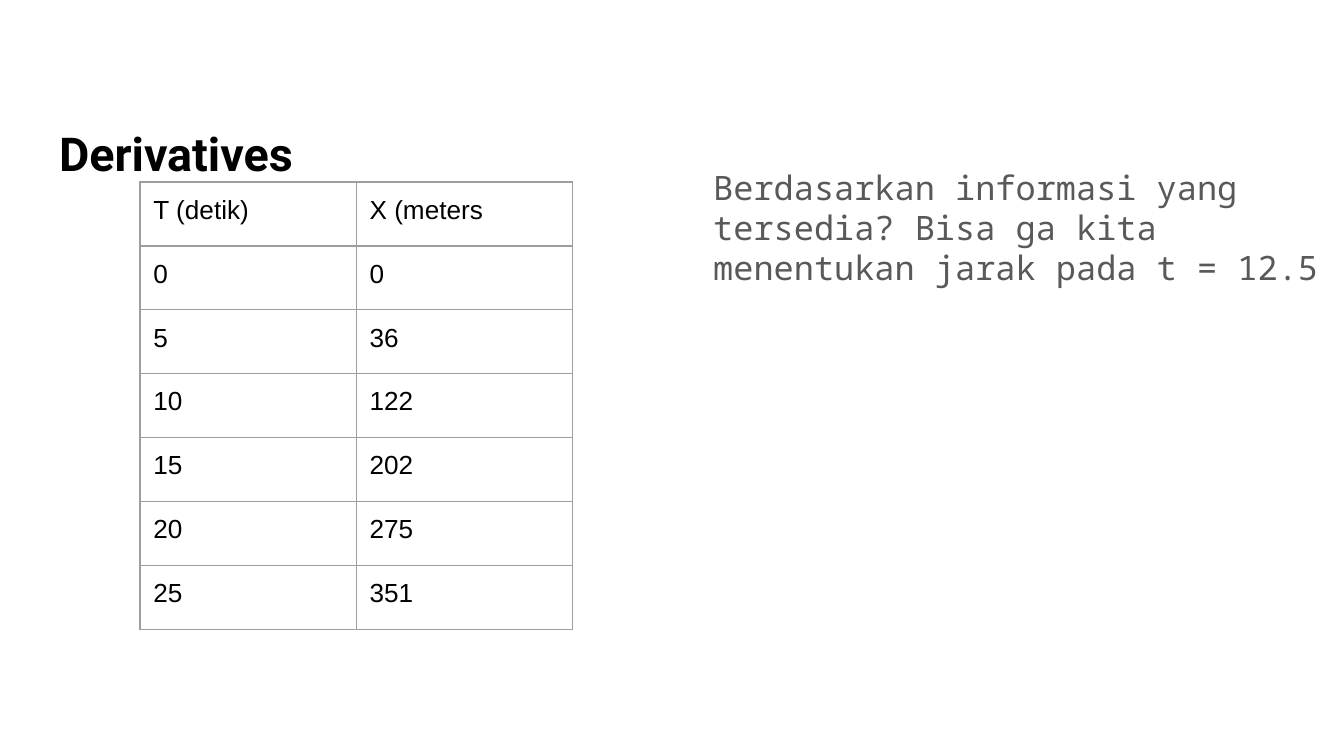
import pptx
import pptx.util
import pptx.dml.color
import pptx.enum.text
import pptx.oxml
import pptx.oxml.ns

Pt = pptx.util.Pt
RGB = pptx.dml.color.RGBColor
BLACK = RGB(0x00, 0x00, 0x00)
GREY = RGB(0x59, 0x59, 0x59)
RULE = RGB(0x9E, 0x9E, 0x9E)
INSET = 7.2

ROWS = [
    ("T (detik)", "X (meters"),
    ("0", "0"),
    ("5", "36"),
    ("10", "122"),
    ("15", "202"),
    ("20", "275"),
    ("25", "351"),
]


def write(frame, text, size, face, color, bold=False):
    frame.text = text
    para = frame.paragraphs[0]
    para.alignment = pptx.enum.text.PP_ALIGN.LEFT
    para.space_before = Pt(0)
    para.line_spacing = 1.0
    font = para.runs[0].font
    font.size, font.name, font.bold = Pt(size), face, bold
    font.color.rgb = color


def pad(part):
    part.margin_left = part.margin_right = Pt(INSET)
    part.margin_top = part.margin_bottom = Pt(INSET)


def border(cell):
    props = cell._tc.get_or_add_tcPr()
    for i, side in enumerate(("lnL", "lnR", "lnT", "lnB")):
        line = pptx.oxml.parse_xml(
            f'<a:{side} {pptx.oxml.ns.nsdecls("a")} w="{Pt(0.75)}">'
            f'<a:solidFill><a:srgbClr val="{RULE}"/></a:solidFill></a:{side}>')
        props.insert(i, line)  # borders come before the fill


def add_title(slide, x, y, w, h):
    title = slide.shapes.title
    title.left, title.top, title.width, title.height = map(Pt, (x, y, w, h))
    frame = title.text_frame
    frame.word_wrap = True
    frame.auto_size = pptx.enum.text.MSO_AUTO_SIZE.NONE
    frame.vertical_anchor = pptx.enum.text.MSO_ANCHOR.BOTTOM
    pad(frame)
    write(frame, "Derivatives", 25, "Roboto", BLACK, bold=True)


def add_data(slide, x, y, w, h):
    count, wide = len(ROWS), len(ROWS[0])
    table = slide.shapes.add_table(count, wide, Pt(x), Pt(y), Pt(w), Pt(h)).table
    table.first_row = table.horz_banding = False
    for col in table.columns:
        col.width = Pt(w / wide)
    for row, values in zip(table.rows, ROWS):
        row.height = Pt(h / count)
        for cell, value in zip(row.cells, values):
            pad(cell)
            cell.fill.background()
            border(cell)
            write(cell.text_frame, value, 14, "Arial", BLACK)


def add_ask(slide, x, y, w, h):
    frame = slide.shapes.add_textbox(Pt(x), Pt(y), Pt(w), Pt(h)).text_frame
    frame.word_wrap = True
    pad(frame)
    write(frame, "Berdasarkan informasi yang tersedia? Bisa ga kita "
          "menentukan jarak pada t = 12.5", 18, "Noto Sans Mono", GREY)


def main():
    deck = pptx.Presentation()
    deck.slide_width, deck.slide_height = Pt(720), Pt(405)
    slide = deck.slides.add_slide(deck.slide_layouts[5])  # title only
    add_title(slide, 24.5, 44, 221, 60)
    add_data(slide, 75, 97.5, 231.6, 239.75)
    add_ask(slide, 375, 82, 345, 74)
    deck.save("out.pptx")


if __name__ == "__main__":
    main()
